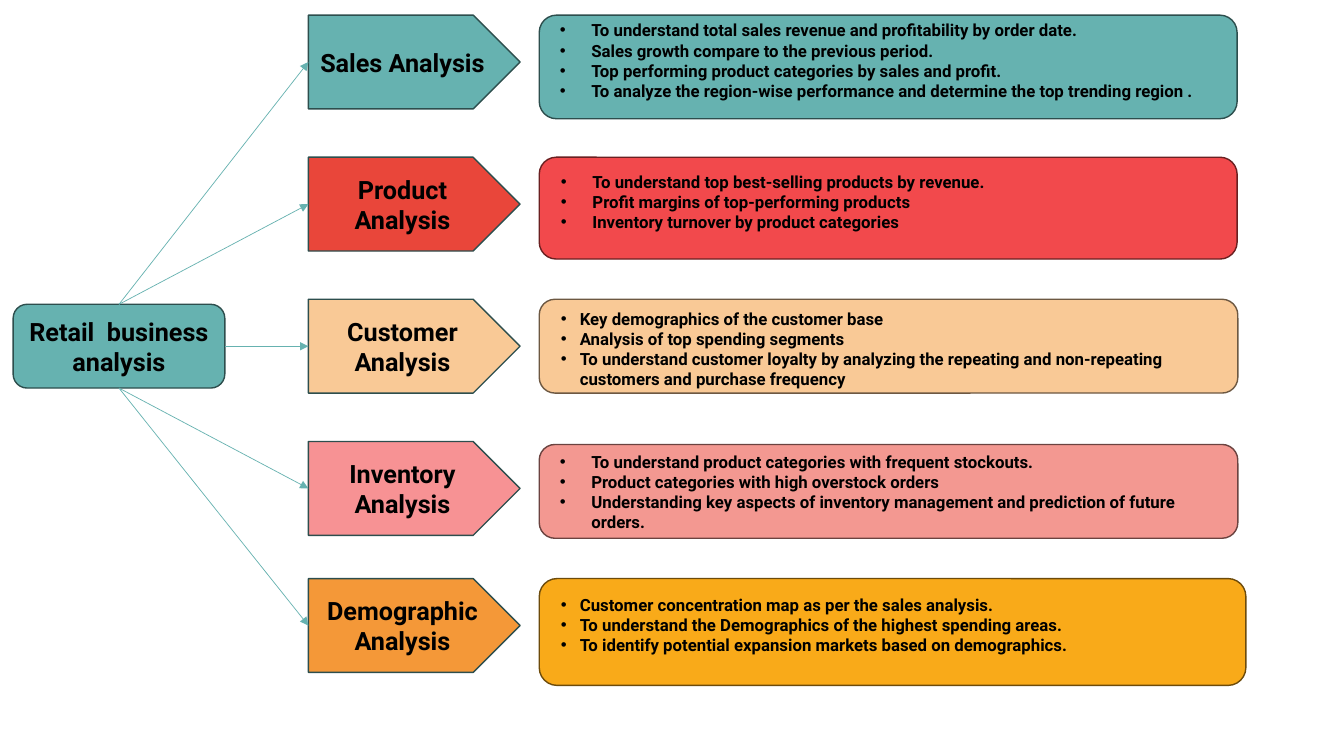
from dataclasses import dataclass
from typing import NamedTuple

from lxml.etree import SubElement
from pptx import Presentation
from pptx.dml.color import RGBColor
from pptx.enum.shapes import MSO_CONNECTOR as Connector, MSO_SHAPE as Shape
from pptx.enum.text import MSO_ANCHOR as Anchor, PP_ALIGN as Align
from pptx.oxml.ns import qn
from pptx.util import Pt


@dataclass(frozen=True)
class Theme:
    font: str = "Roboto"
    title_size: float = 18
    body_size: float = 12
    text: str = "000000"
    teal: str = "66B2B0"
    outline: str = "2D4E4D"
    outline_width: float = 1
    arrow_width: float = 0.5


class Box(NamedTuple):
    left: float
    top: float
    width: float
    height: float

    def lengths(self):
        return [Pt(value) for value in self]


class Topic(NamedTuple):
    title: str
    fill: str
    plate_top: float
    hub_site: int
    panel: Box
    panel_fill: str
    panel_outline: str
    text_offset: tuple  # from the panel's left top corner
    text_size: tuple
    indent: float
    goals: list


THEME = Theme()
TOP, LEFT, BOTTOM, RIGHT = range(4)  # connection sites
HUB = Box(9.4, 217.4, 151.2, 59.8)
PLATE_LEFT, PLATE_WIDTH, PLATE_HEIGHT = 220.3, 151.2, 67
PANEL_LEFT = 385.2
WIDE_INDENT, NARROW_INDENT = 22.5, 13.5

TOPICS = [
    Topic("Sales Analysis", THEME.teal, 10.8, TOP,
          Box(PANEL_LEFT, 10.8, 498.5, 74), THEME.teal, THEME.outline,
          (7.6, 0), (498.5, 79.9), WIDE_INDENT,
          ["To understand total sales revenue and profitability by order date.",
           "Sales growth compare to the previous period.",
           "Top performing product categories by sales and profit.",
           "To analyze the region-wise performance and determine the top trending region ."]),
    Topic("Product Analysis", "E9463A", 112.3, TOP,
          Box(PANEL_LEFT, 112.3, 498.5, 72.7), "F2494C", "6A2021",
          (8.4, 6.5), (504.7, 51.1), WIDE_INDENT,
          ["To understand top best-selling products by revenue.",
           "Profit margins of top-performing products",
           "Inventory turnover by product categories"]),
    Topic("Customer Analysis", "F9C996", 213.8, RIGHT,
          Box(PANEL_LEFT, 213.8, 499, 67), "F9C996", "6D5842",
          (8.4, 2.9), (499, 65.5), NARROW_INDENT,
          ["Key demographics of the customer base",
           "Analysis of top spending segments",
           "To understand customer loyalty by analyzing the repeating and "
           "non-repeating customers and purchase frequency"]),
    Topic("Inventory Analysis", "F79294", 315.4, BOTTOM,
          Box(PANEL_LEFT, 317.5, 499, 67), "F39891", "6B4340",
          (7.6, 1.5), (476.6, 65.5), WIDE_INDENT,
          ["To understand product categories with frequent stockouts.",
           "Product categories with high overstock orders",
           "Understanding key aspects of inventory management and prediction "
           "of future orders."]),
    Topic("Demographic Analysis", "F49838", 413.3, BOTTOM,
          Box(PANEL_LEFT, 413.3, 504.7, 76.3), "F9AA19", "6D4B0B",
          (8.4, 7.9), (481.7, 51.1), NARROW_INDENT,
          ["Customer concentration map as per the sales analysis.",
           "To understand the Demographics of the highest spending areas.",
           "To identify potential expansion markets based on demographics."]),
]


def color(value):
    return RGBColor.from_string(value)


def write(shape, lines, size, align=Align.LEFT, anchor=Anchor.TOP, indent=0):
    """Fill a shape with bold lines, bulleted when an indent is given."""
    frame = shape.text_frame
    frame.word_wrap = True
    frame.vertical_anchor = anchor
    for index, line in enumerate(lines):
        paragraph = frame.add_paragraph() if index else frame.paragraphs[0]
        paragraph.alignment = align
        run = paragraph.add_run()
        run.text = line
        run.font.name = THEME.font
        run.font.size = Pt(size)
        run.font.bold = True
        run.font.color.rgb = color(THEME.text)
        if indent:
            properties = paragraph._p.get_or_add_pPr()
            properties.set("marL", str(Pt(indent)))
            properties.set("indent", str(-Pt(indent)))
            SubElement(properties, qn("a:buFont"), typeface="Arial")
            SubElement(properties, qn("a:buChar"), char="•")


def add_block(slide, kind, box, fill, outline):
    shape = slide.shapes.add_shape(kind, *box.lengths())
    shape.shadow.inherit = False
    shape.fill.solid()
    shape.fill.fore_color.rgb = color(fill)
    shape.line.color.rgb = color(outline)
    shape.line.width = Pt(THEME.outline_width)
    return shape


def add_title_block(slide, kind, box, fill, title):
    block = add_block(slide, kind, box, fill, THEME.outline)
    write(block, [title], THEME.title_size, align=Align.CENTER, anchor=Anchor.MIDDLE)
    return block


def add_arrow(slide, hub, hub_site, plate):
    arrow = slide.shapes.add_connector(Connector.STRAIGHT, 0, 0, 0, 0)
    arrow.begin_connect(hub, hub_site)
    arrow.end_connect(plate, LEFT)
    arrow.line.color.rgb = color(THEME.teal)
    arrow.line.width = Pt(THEME.arrow_width)
    SubElement(arrow.line._get_or_add_ln(), qn("a:tailEnd"), type="triangle")
    SubElement(arrow._element.spPr, qn("a:effectLst"))


def add_goals(slide, topic):
    """Place the topic's panel and its bulleted goals."""
    panel = topic.panel
    add_block(slide, Shape.ROUNDED_RECTANGLE, panel, topic.panel_fill, topic.panel_outline)
    offset_x, offset_y = topic.text_offset
    text_box = Box(panel.left + offset_x, panel.top + offset_y, *topic.text_size)
    goals = slide.shapes.add_textbox(*text_box.lengths())
    write(goals, topic.goals, THEME.body_size, indent=topic.indent)


def add_topic(slide, hub, topic):
    plate_box = Box(PLATE_LEFT, topic.plate_top, PLATE_WIDTH, PLATE_HEIGHT)
    plate = add_title_block(slide, Shape.PENTAGON, plate_box, topic.fill, topic.title)
    add_arrow(slide, hub, topic.hub_site, plate)
    add_goals(slide, topic)


def main():
    presentation = Presentation()
    presentation.slide_width, presentation.slide_height = Pt(960), Pt(540)
    slide = presentation.slides.add_slide(presentation.slide_layouts[6])
    hub = add_title_block(slide, Shape.ROUNDED_RECTANGLE, HUB, THEME.teal,
                          "Retail  business analysis")
    for topic in TOPICS:
        add_topic(slide, hub, topic)
    presentation.save("out.pptx")


if __name__ == "__main__":
    main()
